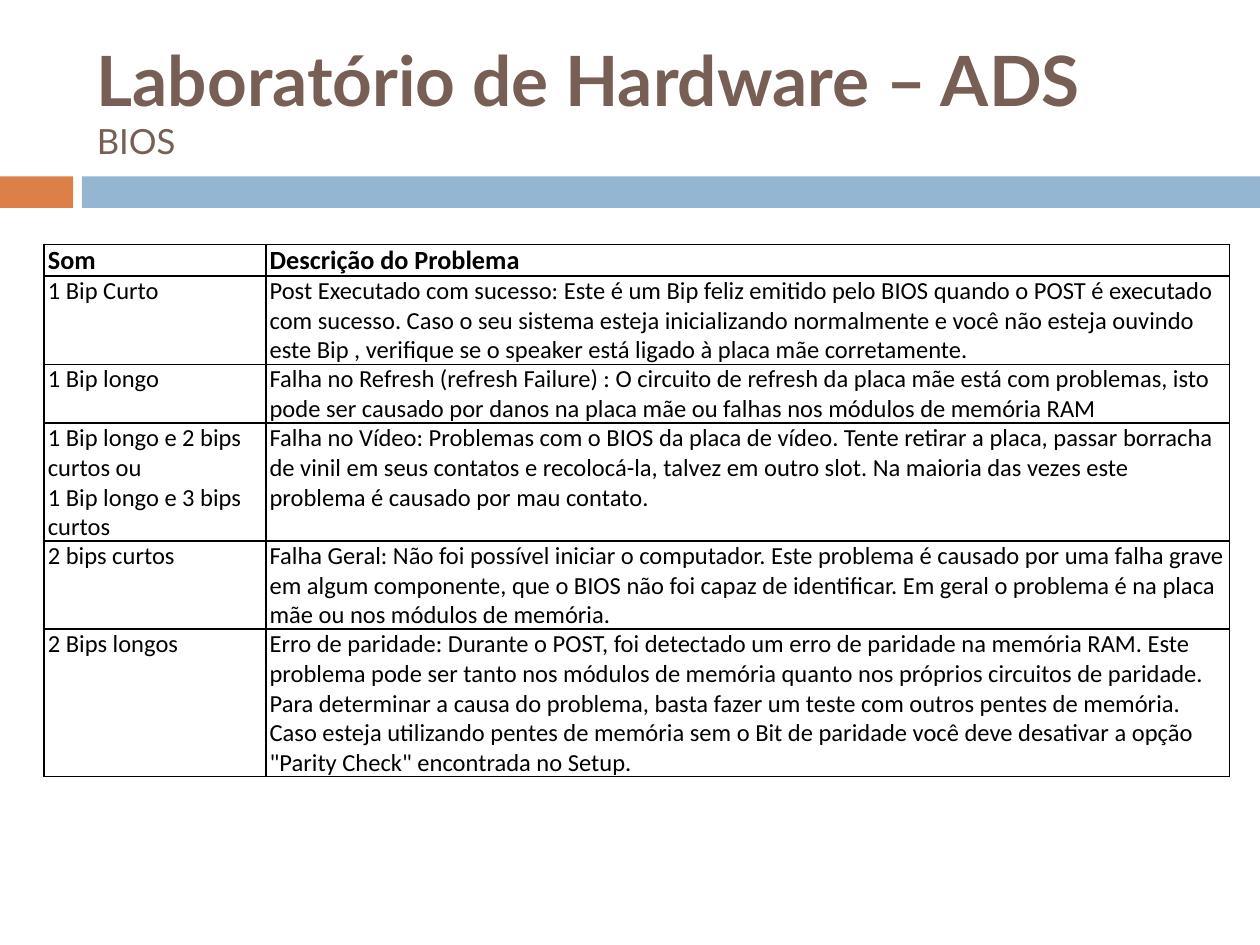
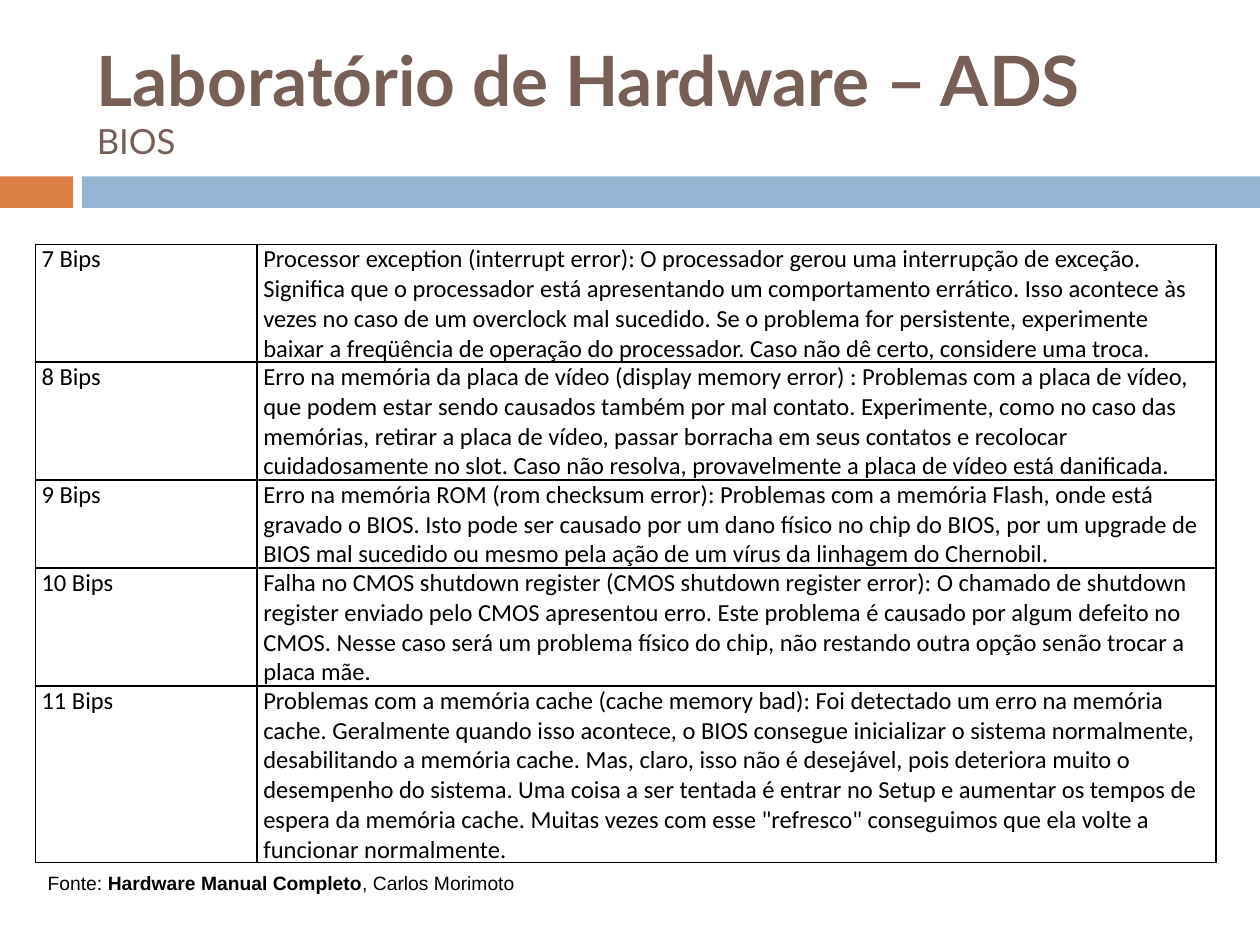
from lxml import etree
from pptx import Presentation
from pptx import util as u
from pptx.dml.color import RGBColor
from pptx.enum import shapes, text
from pptx.oxml import ns

ORANGE, BLUE, BROWN, BLACK = "DD8047", "94B6D2", "775F55", "000000"
LINE_HEIGHT = 0.23
HEADER_HEIGHT = 0.25
SOUND_WIDTH = 1.76

# Each row: sound, description, number of text lines
SHORT_BEEPS = [
    ("1 Bip Curto",
     "Post Executado com sucesso: Este é um Bip feliz emitido pelo BIOS quando o POST é "
     "executado com sucesso. Caso o seu sistema esteja inicializando normalmente e você não "
     "esteja ouvindo este Bip , verifique se o speaker está ligado à placa mãe corretamente.", 3),
    ("1 Bip longo",
     "Falha no Refresh (refresh Failure) : O circuito de refresh da placa mãe está com "
     "problemas, isto pode ser causado por danos na placa mãe ou falhas nos módulos de "
     "memória RAM", 2),
    ("1 Bip longo e 2 bips curtos ou\n1 Bip longo e 3 bips curtos",
     "Falha no Vídeo: Problemas com o BIOS da placa de vídeo. Tente retirar a placa, passar "
     "borracha de vinil em seus contatos e recolocá-la, talvez em outro slot. Na maioria das "
     "vezes este problema é causado por mau contato.", 4),
    ("2 bips curtos",
     "Falha Geral: Não foi possível iniciar o computador. Este problema é causado por uma "
     "falha grave em algum componente, que o BIOS não foi capaz de identificar. Em geral o "
     "problema é na placa mãe ou nos módulos de memória.", 3),
    ("2 Bips longos",
     "Erro de paridade: Durante o POST, foi detectado um erro de paridade na memória RAM. "
     "Este problema pode ser tanto nos módulos de memória quanto nos próprios circuitos de "
     "paridade. Para determinar a causa do problema, basta fazer um teste com outros pentes "
     "de memória. Caso esteja utilizando pentes de memória sem o Bit de paridade você deve "
     'desativar a opção "Parity Check" encontrada no Setup.', 5),
]
MANY_BEEPS = [
    ("7 Bips",
     "Processor exception (interrupt error): O processador gerou uma interrupção de exceção. "
     "Significa que o processador está apresentando um comportamento errático. Isso acontece "
     "às vezes no caso de um overclock mal sucedido. Se o problema for persistente, "
     "experimente baixar a freqüência de operação do processador. Caso não dê certo, "
     "considere uma troca.", 4),
    ("8 Bips",
     "Erro na memória da placa de vídeo (display memory error) : Problemas com a placa de "
     "vídeo, que podem estar sendo causados também por mal contato. Experimente, como no caso "
     "das memórias, retirar a placa de vídeo, passar borracha em seus contatos e recolocar "
     "cuidadosamente no slot. Caso não resolva, provavelmente a placa de vídeo está "
     "danificada.", 4),
    ("9 Bips",
     "Erro na memória ROM (rom checksum error): Problemas com a memória Flash, onde está "
     "gravado o BIOS. Isto pode ser causado por um dano físico no chip do BIOS, por um "
     "upgrade de BIOS mal sucedido ou mesmo pela ação de um vírus da linhagem do Chernobil.", 3),
    ("10 Bips",
     "Falha no CMOS shutdown register (CMOS shutdown register error): O chamado de shutdown "
     "register enviado pelo CMOS apresentou erro. Este problema é causado por algum defeito "
     "no CMOS. Nesse caso será um problema físico do chip, não restando outra opção senão "
     "trocar a placa mãe.", 4),
    ("11 Bips",
     "Problemas com a memória cache (cache memory bad): Foi detectado um erro na memória "
     "cache. Geralmente quando isso acontece, o BIOS consegue inicializar o sistema "
     "normalmente, desabilitando a memória cache. Mas, claro, isso não é desejável, pois "
     "deteriora muito o desempenho do sistema. Uma coisa a ser tentada é entrar no Setup e "
     "aumentar os tempos de espera da memória cache. Muitas vezes com esse \"refresco\" "
     "conseguimos que ela volte a funcionar normalmente.", 6),
]


def color(value):
    return RGBColor.from_string(value)


def inches(box):
    return [u.Inches(value) for value in box]


def add_run(paragraph, wording, size, name, fill, bold=False):
    run = paragraph.add_run()
    run.text = wording
    for key, value in {"size": u.Pt(size), "name": name, "bold": bold}.items():
        setattr(run.font, key, value)
    run.font.color.rgb = color(fill)


def add_text_box(slide, box):
    frame = slide.shapes.add_textbox(*inches(box)).text_frame
    frame.word_wrap = True
    frame.vertical_anchor = text.MSO_ANCHOR.MIDDLE
    return frame


def add_band(slide, box):
    """Draw the short orange and the long blue bar across the box."""
    left, top, width, height = box
    accent, gap = 0.58, 0.07
    start = accent + gap
    for x, length, fill in ((left, accent, ORANGE), (left + start, width - start, BLUE)):
        bar = slide.shapes.add_shape(
            shapes.MSO_SHAPE.RECTANGLE, *inches((x, top, length, height)))
        bar.shadow.inherit = False
        bar.fill.solid()
        bar.fill.fore_color.rgb = color(fill)
        bar.line.fill.background()


def add_title(slide, box):
    frame = add_text_box(slide, box)
    add_run(frame.paragraphs[0], "Laboratório de Hardware – ADS", 39.6, "Lato", BROWN, True)
    add_run(frame.add_paragraph(), "BIOS", 19.8, "Lato", BROWN)


def add_borders(cell):
    properties = cell._tc.get_or_add_tcPr()
    for side in ("lnL", "lnR", "lnT", "lnB"):
        line = etree.SubElement(properties, ns.qn(f"a:{side}"), w=str(u.Pt(1)))
        fill = etree.SubElement(line, ns.qn("a:solidFill"))
        etree.SubElement(fill, ns.qn("a:srgbClr"), val=BLACK)


def fill_cell(cell, wording, inset, size, bold):
    margins = {"margin_left": inset, "margin_right": inset,
               "margin_top": 0, "margin_bottom": 0}
    for key, value in margins.items():
        setattr(cell, key, u.Inches(value))
    add_borders(cell)
    cell.fill.background()
    for index, line in enumerate(wording.split("\n")):
        frame = cell.text_frame
        paragraph = frame.add_paragraph() if index else frame.paragraphs[0]
        add_run(paragraph, line, size, "Calibri", BLACK, bold)


def add_beep_table(slide, left, top, width, beeps, inset, header=None):
    """Place the sounds and their meanings, with an optional bold header row."""
    rows = [(sound, problem, LINE_HEIGHT * lines, 14, False)
            for sound, problem, lines in beeps]
    if header:
        rows.insert(0, (*header, HEADER_HEIGHT, 15, True))
    box = (left, top, width, sum(row[2] for row in rows))
    table = slide.shapes.add_table(len(rows), 2, *inches(box)).table
    table.first_row = table.horz_banding = False
    for column, length in zip(table.columns, (SOUND_WIDTH, width - SOUND_WIDTH)):
        column.width = u.Inches(length)
    for index, (sound, problem, height, size, bold) in enumerate(rows):
        table.rows[index].height = u.Inches(height)
        for column, wording in enumerate((sound, problem)):
            fill_cell(table.cell(index, column), wording, inset, size, bold)


def add_source_note(slide, box):
    paragraph = add_text_box(slide, box).paragraphs[0]
    for wording, bold in (("Fonte: ", False), ("Hardware Manual Completo", True),
                          (", Carlos Morimoto", False)):
        add_run(paragraph, wording, 11, "Arial", BLACK, bold)


def add_bios_slide(presentation):
    slide = presentation.slides.add_slide(presentation.slide_layouts[6])
    add_band(slide, (0, 1.4, 10, 0.25))
    add_title(slide, (0.67, 0.25, 8.92, 1.08))
    return slide


def main():
    presentation = Presentation()
    presentation.slide_width, presentation.slide_height = inches((10, 7.5))

    slide = add_bios_slide(presentation)
    add_beep_table(slide, 0.35, 1.94, 9.41, SHORT_BEEPS, 0.03,
                   header=("Som", "Descrição do Problema"))

    slide = add_bios_slide(presentation)
    add_beep_table(slide, 0.28, 1.94, 9.37, MANY_BEEPS, 0.05)
    add_source_note(slide, (0.28, 6.86, 9.21, 0.29))

    presentation.save("out.pptx")


if __name__ == "__main__":
    main()
